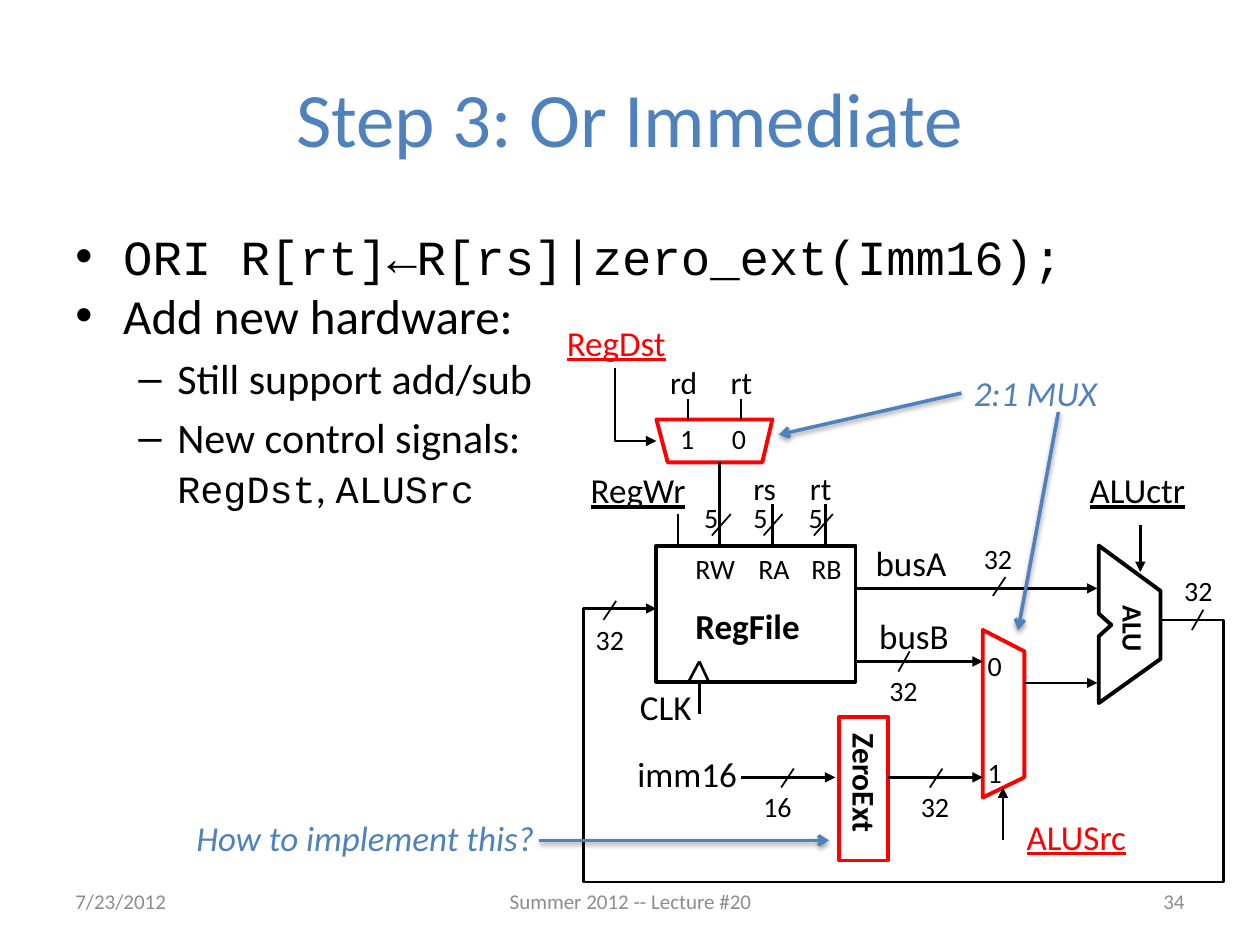
from lxml.etree import SubElement
from pptx import Presentation
from pptx.dml.color import RGBColor
from pptx.enum.shapes import MSO_CONNECTOR as Connector, MSO_SHAPE as Shape
from pptx.enum.text import MSO_ANCHOR as Anchor, PP_ALIGN as Align
from pptx.oxml.ns import qn
from pptx.util import Cm, Pt

COLORS = {"black": "000000", "red": "FF0000", "blue": "4F81BD", "gray": "8C8C8C"}
SANS, MONO = "Calibri", "Courier New"

# Positions are in inches; they become Cm in cm().
TITLE = "Step 3: Or Immediate"
# bullet, left margin, hanging indent, space before, lines of (text, font, size)
BULLETS = [
    ("•", 0.38, 0.38, 5.6, [[("ORI R[rt]←R[rs]|zero_ext(Imm16);", MONO, 28)]]),
    ("•", 0.38, 0.38, 0, [[("Add new hardware:", SANS, 28)]]),
    ("–", 0.81, 0.31, 4.8, [[("Still support add/sub", SANS, 24)]]),
    ("–", 0.81, 0.31, 4.8, [
        [("New control signals:", SANS, 24)],
        [("RegDst", MONO, 22), (", ", SANS, 24), ("ALUSrc", MONO, 22)]]),
]
FOOTER = [  # text, left, width, alignment
    ("7/23/2012", 0.5, 2.33, Align.LEFT),
    ("Summer 2012 -- Lecture #20", 3.42, 3.17, Align.CENTER),
    ("34", 7.17, 2.33, Align.RIGHT),
]

LABEL_HEIGHT = {16: 0.37, 18: 0.4, 20: 0.43}
LABELS = {  # size: (text, left, top, width)
    16: [("32", 9.3, 4.5, 0.43), ("32", 4.63, 4.89, 0.43), ("32", 7.71, 4.25, 0.43),
         ("32", 6.96, 5.3, 0.43), ("32", 7.21, 6.22, 0.43), ("16", 5.96, 6.22, 0.43),
         ("5", 5.49, 3.92, 0.31), ("5", 5.88, 3.92, 0.31), ("5", 6.32, 3.92, 0.31),
         ("RW", 5.42, 4.33, 0.52), ("RA", 5.92, 4.33, 0.45), ("RB", 6.34, 4.33, 0.45),
         ("1", 5.3, 3.3, 0.31), ("0", 5.71, 3.3, 0.31),
         ("0", 7.74, 5.1, 0.31), ("1", 7.74, 5.95, 0.31)],
    18: [("rd", 5.22, 2.83, 0.42), ("rt", 5.7, 2.83, 0.37),
         ("rs", 5.88, 3.67, 0.38), ("rt", 6.33, 3.67, 0.37)],
    20: [("CLK", 4.98, 5.39, 0.61), ("busA", 6.85, 4.25, 0.78),
         ("busB", 6.88, 4.83, 0.77), ("imm16", 4.96, 5.92, 1)],
}
SIGNALS = [  # underlined control signals
    ("RegWr", 4.59, 3.67, 0.96, "black"), ("ALUctr", 8.55, 3.67, 1.14, "black"),
    ("RegDst", 4.4, 2.5, 1.03, "red"), ("ALUSrc", 8.05, 6.42, 0.99, "red"),
]
BLOCK_NAMES = [  # text, left, top, width, size, rotation
    ("RegFile", 5.42, 4.75, 1.04, 20, 0),
    ("ZeroExt", 6.37, 6.02, 0.99, 18, 90),
    ("ALU", 8.7, 4.82, 0.59, 16, 90),
]
NOTES = [("2:1 MUX", 7.63, 2.9, 1.19), ("How to implement this?", 1.46, 6.43, 2.91)]

BLOCKS = [  # left, top, width, height, colour, line width
    (6.66, 5.69, 0.39, 1.14, "red", 2),
    (5.21, 4.33, 1.58, 1.08, "black", 2.25),
]
OUTLINES = [  # the two multiplexers and the ALU
    ("red", [(5.21, 3.33), (5.3, 3.67), (6.05, 3.67), (6.13, 3.33)]),
    ("red", [(7.8, 5), (7.8, 6.33), (8.13, 6.17), (8.13, 5.17)]),
    ("black", [(8.72, 4.33), (8.72, 4.87), (8.82, 4.96), (8.72, 5.05),
               (8.72, 5.58), (9.21, 5.23), (9.21, 4.69)]),
]
ROUTES = [
    [(4.88, 2.92), (4.88, 3.5), (5.21, 3.5)],
    [(9.21, 4.92), (9.71, 4.92), (9.71, 7), (4.63, 7), (4.63, 4.83), (5.21, 4.83)],
]
BUSES = [
    (6.8, 4.67, 8.71, 4.67), (6.8, 5.25, 7.8, 5.25), (8.13, 5.42, 8.71, 5.42),
    (7.05, 6.17, 7.8, 6.17), (5.88, 6.17, 6.63, 6.17),
    (9.05, 4.17, 9.05, 4.54), (7.96, 6.67, 7.96, 6.25),
]
WIRES = [
    (5.38, 4.08, 5.38, 4.33), (5.71, 3.67, 5.71, 4.33), (6.13, 4, 6.13, 4.33),
    (6.55, 4, 6.55, 4.33), (5.55, 5.42, 5.55, 5.67),
    (5.55, 5.25, 5.46, 5.42), (5.55, 5.25, 5.63, 5.42),
]
MUX_INPUTS = [(x, 3.17, x, 3.33) for x in (5.46, 5.88)]
# Bus-width slashes: lower-left corners grouped by (run, rise)
SLASHES = {
    (0.1, 0.15): [(4.79, 4.92), (7.88, 4.73), (7.38, 6.25), (6.2, 6.25)],
    (0.09, 0.16): [(7.13, 5.33), (9.46, 5)],
    (0.15, 0.17): [(5.65, 4.25), (6.06, 4.25), (6.46, 4.25)],
}
POINTERS = [(8.4, 3.27, 8.08, 5), (7.63, 3.12, 6.18, 3.45), (4.28, 6.67, 6.58, 6.67)]


def cm(inches):
    return Cm(inches * 2.54)


def rgb(color):
    return RGBColor.from_string(COLORS[color])


def add_span(para, text, size, color="black", font=SANS, **styles):
    span = para.add_run()
    span.text = text
    span.font.name, span.font.size = font, Pt(size)
    span.font.color.rgb = rgb(color)
    for style, value in styles.items():
        setattr(span.font, style, value)


def add_box(page, left, top, width, height, wrap=True, anchor=Anchor.TOP):
    box = page.shapes.add_textbox(*map(cm, (left, top, width, height)))
    box.text_frame.word_wrap = wrap
    box.text_frame.vertical_anchor = anchor
    return box


def add_label(page, text, left, top, width, size, color="black", rotation=0, **styles):
    box = add_box(page, left, top, width, LABEL_HEIGHT[size], wrap=False)
    box.rotation = rotation
    add_span(box.text_frame.paragraphs[0], text, size, color, **styles)


def add_bullets(page):
    frame = add_box(page, 0.5, 1.75, 9, 5.4).text_frame
    for index, (bullet, margin, hanging, before, lines) in enumerate(BULLETS):
        para = frame.add_paragraph() if index else frame.paragraphs[0]
        para.space_before = Pt(before)
        props = para._p.get_or_add_pPr()
        props.set("marL", str(cm(margin)))
        props.set("indent", str(-cm(hanging)))
        SubElement(props, qn("a:buFont"), typeface="Arial")
        SubElement(props, qn("a:buChar"), char=bullet)
        for number, line in enumerate(lines):
            if number:
                para.add_line_break()
            for text, font, size in line:
                add_span(para, text, size, font=font)


def style_line(shape, color, width, head=None):
    shape.line.color.rgb = rgb(color)
    shape.line.width = Pt(width)
    if head:
        outline = shape._element.spPr.find(qn("a:ln"))
        SubElement(outline, qn("a:tailEnd"), type=head)


def style_outline(shape, color, width, head=None):
    shape.shadow.inherit = False
    shape.fill.background()
    style_line(shape, color, width, head)


def add_path(page, points, closed):
    corners = [(cm(x), cm(y)) for x, y in points]
    builder = page.shapes.build_freeform(*corners[0])
    builder.add_line_segments(corners[1:], close=closed)
    return builder.convert_to_shape()


def add_line(page, ends, color="black", width=1.5, head=None, shadow=False):
    line = page.shapes.add_connector(Connector.STRAIGHT, *map(cm, ends))
    style_line(line, color, width, head)
    effects = SubElement(line._element.spPr, qn("a:effectLst"))
    if shadow:
        outer = SubElement(effects, qn("a:outerShdw"), blurRad=str(Pt(3.1)),
                           dist=str(Pt(1.6)), dir="5400000", rotWithShape="0")
        tint = SubElement(outer, qn("a:srgbClr"), val=COLORS["black"])
        SubElement(tint, qn("a:alpha"), val="38000")


def add_datapath(page):
    for *place, color, width in BLOCKS:
        style_outline(page.shapes.add_shape(Shape.RECTANGLE, *map(cm, place)), color, width)
    for color, points in OUTLINES:
        style_outline(add_path(page, points, True), color, 2.25)
    for points in ROUTES:
        style_outline(add_path(page, points, False), "black", 1.5, "triangle")
    for ends in BUSES:
        add_line(page, ends, head="triangle")
    for ends in WIRES:
        add_line(page, ends)
    slashes = [(x, y, x + run, y - rise)
               for (run, rise), corners in SLASHES.items() for x, y in corners]
    for ends in MUX_INPUTS + slashes:
        add_line(page, ends, width=1)


def add_labels(page):
    for size, labels in LABELS.items():
        for label in labels:
            add_label(page, *label, size)
    for *label, color in SIGNALS:
        add_label(page, *label, 20, color, underline=True)
    for *label, size, rotation in BLOCK_NAMES:
        add_label(page, *label, size, rotation=rotation, bold=True)
    for note in NOTES:
        add_label(page, *note, 20, "blue", italic=True)


def main():
    deck = Presentation()
    deck.slide_width, deck.slide_height = cm(10), cm(7.5)
    page = deck.slides.add_slide(deck.slide_layouts[6])

    headings = [(TITLE, 0.5, 0.3, 9, 1.25, 44, "blue", Align.CENTER)]
    headings += [(text, left, 6.95, width, 0.4, 12, "gray", align)
                 for text, left, width, align in FOOTER]
    for text, *place, size, color, align in headings:
        para = add_box(page, *place, anchor=Anchor.MIDDLE).text_frame.paragraphs[0]
        para.alignment = align
        add_span(para, text, size, color)

    add_bullets(page)
    add_datapath(page)
    add_labels(page)
    for ends in POINTERS:
        add_line(page, ends, "blue", 2, "arrow", shadow=True)
    deck.save("out.pptx")


if __name__ == "__main__":
    main()
